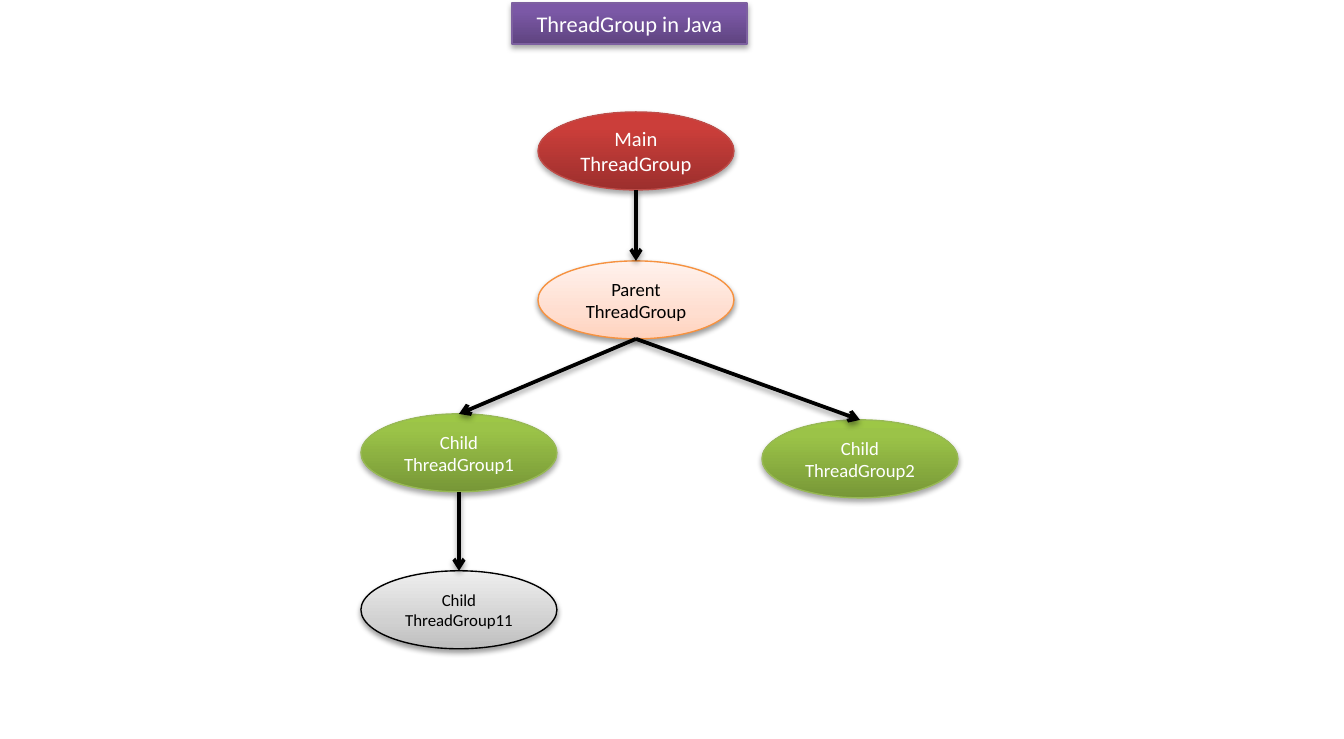
import copy
import lxml.etree
import pptx
import pptx.dml.color
import pptx.enum.shapes
import pptx.enum.text
import pptx.oxml.ns
import pptx.util

COLORS = {
    "purple": ("5F4480", "7B58A6", "7C57A8"),
    "red": ("9C2F2D", "CB3E3A", "CE3B37"),
    "orange": ("FFD2BD", "FFDED0", "FFF2ED"),
    "green": ("779737", "9BC348", "9DC746"),
    "gray": ("BDBDBD", "D1D1D1", "EEEEEE"),
    "purple line": "7D60A0",
    "red line": "BF4C48",
    "orange line": "F69240",
    "green line": "98B955",
    "gray line": "000000",
    "black": "000000",
    "white": "FFFFFF",
}
STRONG = {"middle": 0.8, "ink": "white", "shadow": (35, 1.8)}
SUBTLE = {"middle": 0.35, "ink": "black", "shadow": (38, 1.6)}

TITLE = "ThreadGroup in Java"
GROUPS = {
    "main": ("Main ThreadGroup", 538, 112, 11, "red", STRONG),
    "parent": ("Parent ThreadGroup", 538, 261, 10, "orange", SUBTLE),
    "child1": ("Child ThreadGroup1", 361, 414, 10, "green", STRONG),
    "child11": ("Child ThreadGroup11", 361, 571, 9, "gray", SUBTLE),
    "child2": ("Child ThreadGroup2", 762, 420, 10, "green", STRONG),
}
ARROWS = [("main", "parent"), ("parent", "child1"), ("parent", "child2"), ("child1", "child11")]
GROUP_SIZE = (196, 78)
SCALE = 914400 / 134.4


def px(value):
    return pptx.util.Emu(round(value * SCALE))


def rgb(name):
    return pptx.dml.color.RGBColor.from_string(COLORS[name])


def add_child(parent, tag, **attributes):
    child = lxml.etree.SubElement(parent, pptx.oxml.ns.qn(tag))
    for name, value in attributes.items():
        child.set(name, str(value))
    return child


def add_shadow(shape, opacity, distance):
    effects = add_child(shape._element.spPr, "a:effectLst")
    shadow = add_child(effects, "a:outerShdw", blurRad=pptx.util.Pt(3.1),
                       dist=pptx.util.Pt(distance), dir=5400000, rotWithShape=0)
    color = add_child(shadow, "a:srgbClr", val=COLORS["black"])
    add_child(color, "a:alpha", val=opacity * 1000)


def paint(shape, color, style):
    shape.fill.gradient()
    shape.fill.gradient_angle = 90
    first = shape.fill.gradient_stops[0]._gs
    first.addnext(copy.deepcopy(first))
    positions = (0, style["middle"], 1)
    for stop, position, shade in zip(shape.fill.gradient_stops, positions, COLORS[color]):
        stop.position = position
        stop.color.rgb = pptx.dml.color.RGBColor.from_string(shade)
    shape.line.color.rgb = rgb(color + " line")
    shape.line.width = pptx.util.Pt(0.75)
    add_shadow(shape, *style["shadow"])


def write(shape, text, size, color, anchor=pptx.enum.text.MSO_ANCHOR.MIDDLE):
    frame = shape.text_frame
    frame.word_wrap = True
    frame.auto_size = pptx.enum.text.MSO_AUTO_SIZE.NONE
    frame.vertical_anchor = anchor
    para = frame.paragraphs[0]
    para.alignment = pptx.enum.text.PP_ALIGN.CENTER
    span = para.add_run()
    span.text = text
    span.font.name = "Calibri"
    span.font.size = pptx.util.Pt(size)
    span.font.color.rgb = rgb(color)


def add_group(page, text, left, top, size, color, style):
    oval = page.shapes.add_shape(pptx.enum.shapes.MSO_SHAPE.OVAL,
                                 px(left), px(top), *map(px, GROUP_SIZE))
    paint(oval, color, style)
    write(oval, text, size, style["ink"])
    return oval


def add_arrow(page, start, end):
    arrow = page.shapes.add_connector(
        pptx.enum.shapes.MSO_CONNECTOR.STRAIGHT,
        start.left + start.width // 2, start.top + start.height,
        end.left + end.width // 2, end.top)
    arrow.end_connect(end, 0)
    arrow.line.color.rgb = rgb("black")
    arrow.line.width = pptx.util.Pt(2)
    add_child(arrow.line._get_or_add_ln(), "a:tailEnd", type="arrow")
    add_shadow(arrow, *SUBTLE["shadow"])


def main():
    deck = pptx.Presentation()
    deck.slide_width = pptx.util.Inches(10)
    deck.slide_height = pptx.util.Inches(5.5)
    page = deck.slides.add_slide(deck.slide_layouts[5])

    title = page.shapes.title
    title.left, title.top, title.width, title.height = map(px, (512, 3, 235, 41))
    paint(title, "purple", STRONG)
    write(title, TITLE, 12, "white", anchor=pptx.enum.text.MSO_ANCHOR.TOP)

    ovals = {name: add_group(page, *group) for name, group in GROUPS.items()}
    for start, end in ARROWS:
        add_arrow(page, ovals[start], ovals[end])
    deck.save("out.pptx")


if __name__ == "__main__":
    main()
